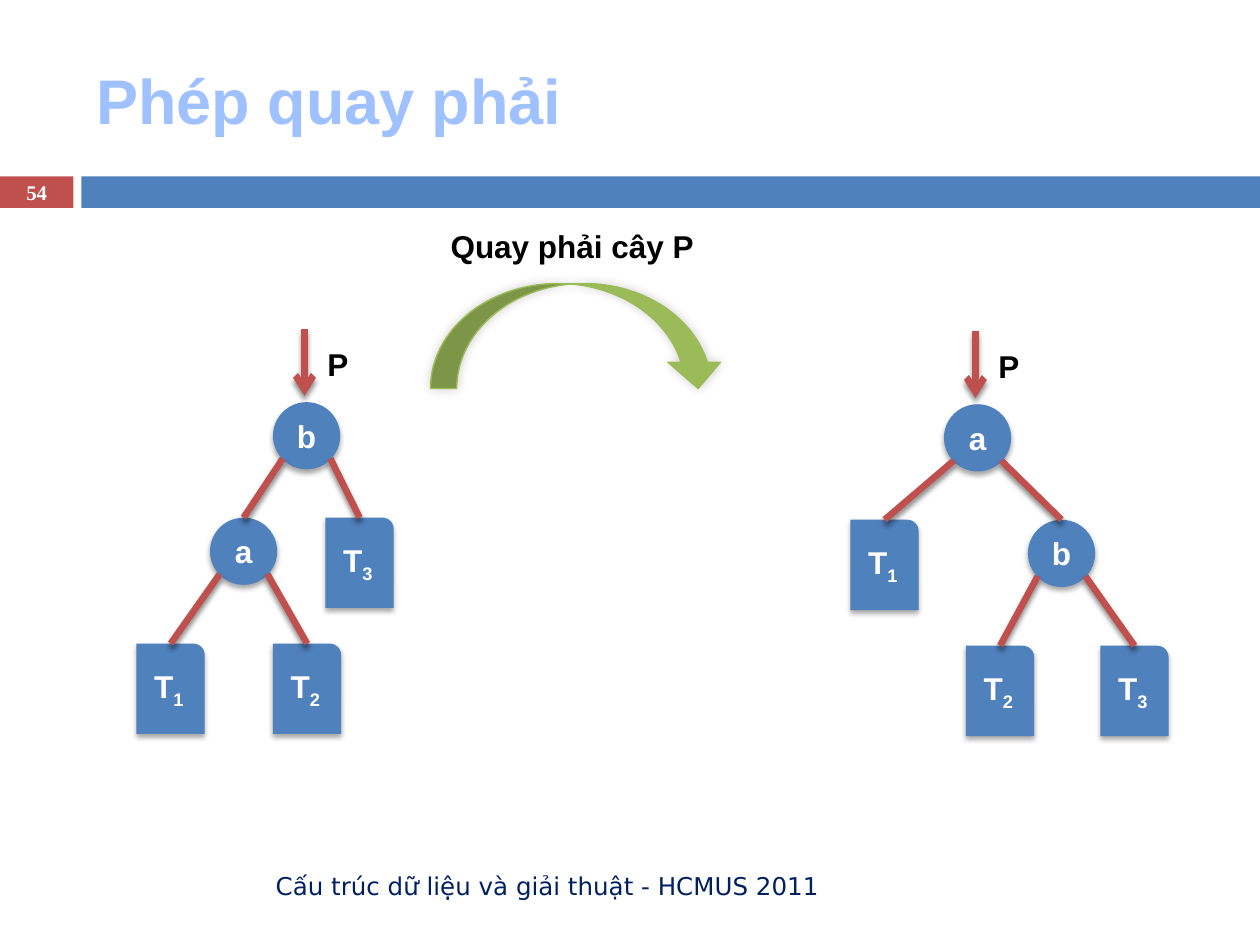
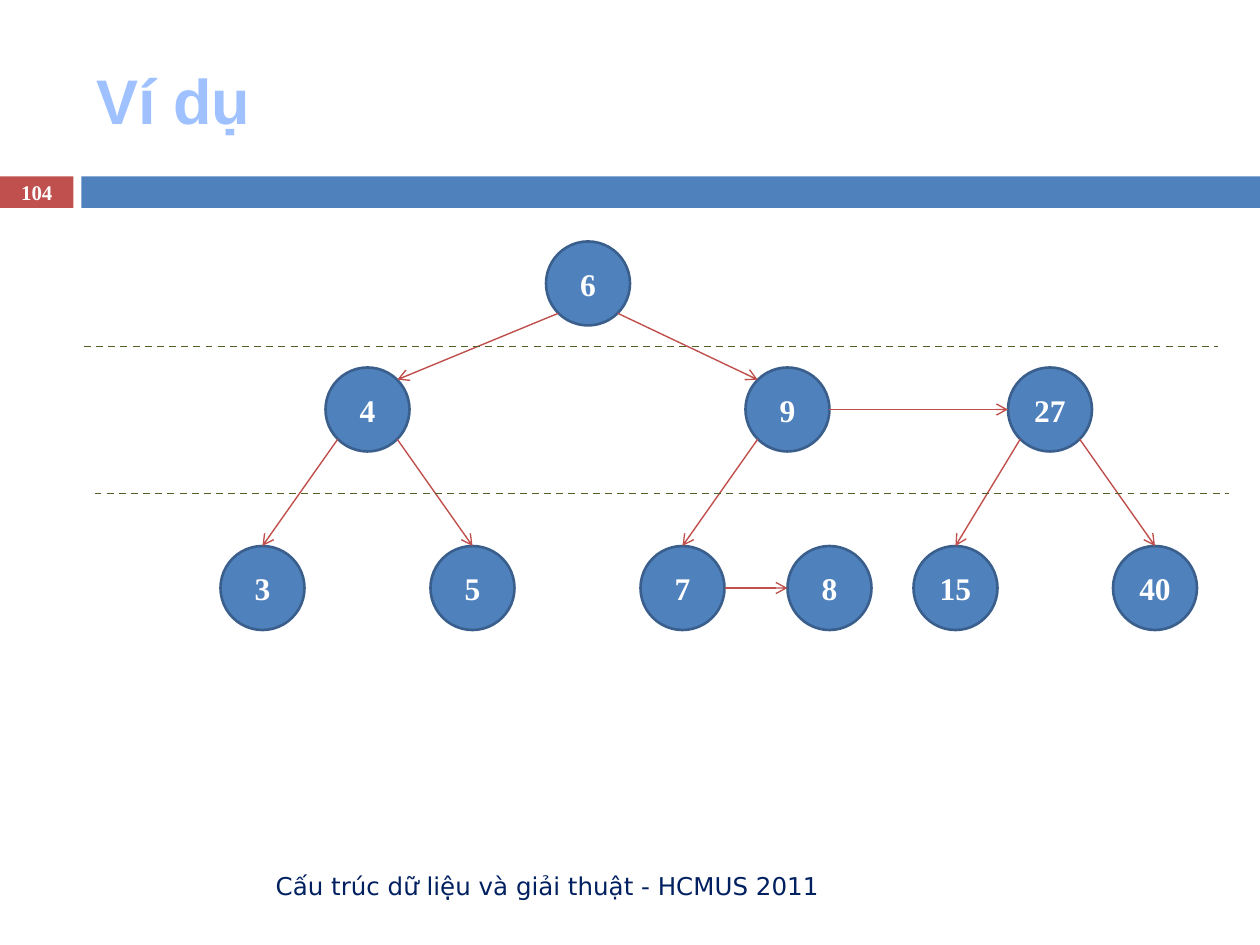
import pptx
import pptx.dml.color
import pptx.enum.dml
import pptx.enum.shapes
import pptx.enum.text
import pptx.oxml
import pptx.oxml.ns
import pptx.util

RGBColor = pptx.dml.color.RGBColor
Shape = pptx.enum.shapes.MSO_SHAPE
Align = pptx.enum.text.PP_ALIGN
Anchor = pptx.enum.text.MSO_ANCHOR

BLUE = RGBColor(0x4F, 0x81, 0xBD)
DARK_BLUE = RGBColor(0x3A, 0x5F, 0x8C)
RED = RGBColor(0xC0, 0x50, 0x4D)
GREEN = RGBColor(0x9B, 0xBB, 0x59)
DARK_GREEN = RGBColor(0x4F, 0x62, 0x28)
TITLE_BLUE = RGBColor(0xA0, 0xC1, 0xFF)
NAVY = RGBColor(0x00, 0x20, 0x60)
WHITE = RGBColor(0xFF, 0xFF, 0xFF)
BLACK = RGBColor(0x00, 0x00, 0x00)

SANS = "Arial"
SERIF = "Times New Roman"
FOOTER_FONT = "DejaVu Sans"
FOOTER = "Cấu trúc dữ liệu và giải thuật - HCMUS 2011"

COLUMNS, ROWS = 120, 90
CIRCLE = 6.4
LEAF_HEIGHT = 8.6
KEY_CIRCLE = 8
DIAGONAL = 0.71
LEVELS = (0, 11, 23)


def grid(*cells):
    return [pptx.util.Inches(cell / 12) for cell in cells]


def add_effects(item, shadow=None):
    properties = item._element.spPr
    effects = properties.find(pptx.oxml.ns.qn("a:effectLst"))
    if effects is None:
        effects = pptx.oxml.parse_xml(f'<a:effectLst {pptx.oxml.ns.nsdecls("a")}/>')
        properties.append(effects)
    if shadow:
        opacity, blur, distance, angle = shadow
        effects.append(pptx.oxml.parse_xml(
            f'<a:outerShdw {pptx.oxml.ns.nsdecls("a")} blurRad="{pptx.util.Pt(blur)}" '
            f'dist="{pptx.util.Pt(distance)}" dir="{angle * 60000}" rotWithShape="0">'
            f'<a:srgbClr val="000000"><a:alpha val="{opacity * 1000}"/></a:srgbClr>'
            '</a:outerShdw>'))


def write(box, text, size, font, color, align, anchor=Anchor.MIDDLE, subscript=""):
    box.text_frame.word_wrap = True
    box.text_frame.vertical_anchor = anchor
    para = box.text_frame.paragraphs[0]
    para.alignment = align
    para.font.size = pptx.util.Pt(size)
    para.font.name = font
    para.font.bold = font != FOOTER_FONT
    para.font.color.rgb = color
    para.add_run().text = text
    if subscript:
        span = para.add_run()
        span.text = subscript
        span._r.get_or_add_rPr().set("baseline", "-25000")


def add_text(page, area, text, size, font, color, align=Align.LEFT, anchor=Anchor.MIDDLE):
    write(page.shapes.add_textbox(*grid(*area)), text, size, font, color, align, anchor)


def add_box(page, kind, area, fill, outline=None, width=1.5, shadow=None):
    box = page.shapes.add_shape(kind, *grid(*area))
    box.shadow.inherit = False
    box.fill.solid()
    box.fill.fore_color.rgb = fill
    if outline is None:
        box.line.fill.background()
    else:
        box.line.color.rgb = outline
        box.line.width = pptx.util.Pt(width)
    add_effects(box, shadow)
    frame = box.text_frame
    frame.margin_left = frame.margin_right = frame.margin_top = frame.margin_bottom = 0
    return box


def add_line(page, start, end, color, width, arrow=False, dashed=False, shadow=None):
    line = page.shapes.add_connector(
        pptx.enum.shapes.MSO_CONNECTOR.STRAIGHT, *start, *end)
    line.line.color.rgb = color
    line.line.width = pptx.util.Pt(width)
    if dashed:
        line.line.dash_style = pptx.enum.dml.MSO_LINE.DASH
    if arrow:
        line.line._get_or_add_ln().append(pptx.oxml.parse_xml(
            f'<a:tailEnd {pptx.oxml.ns.nsdecls("a")} type="arrow"/>'))
    add_effects(line, shadow)
    return line


def rim(circle, across, down):
    radius = circle.width / 2
    return (int(circle.left + radius * (1 + across)),
            int(circle.top + radius * (1 + down)))


def add_page(deck, title, number):
    page = deck.slides.add_slide(deck.slide_layouts[6])
    badge = add_box(page, Shape.RECTANGLE, (0, 16.8, 7, 3), RED)
    write(badge, number, 11.9, SERIF, WHITE, Align.CENTER)
    add_box(page, Shape.RECTANGLE, (7.75, 16.8, COLUMNS - 7.75, 3), BLUE)
    add_text(page, (8, 3, 107, 13), title, 36, SANS, TITLE_BLUE)
    add_text(page, (8, 82, 71.2, 4.8), FOOTER, 14, FOOTER_FONT, NAVY, Align.RIGHT)
    return page


def add_tree(page, top, nodes, edges):
    boxes = {}
    for name, (column, level) in nodes.items():
        leaf = len(name) > 1
        kind = Shape.ROUND_1_RECTANGLE if leaf else Shape.OVAL
        size = (6.5, LEAF_HEIGHT) if leaf else (CIRCLE, CIRCLE)
        box = add_box(page, kind, (column, top + LEVELS[level], *size), BLUE,
                      shadow=(35, 3, 2, 90))
        write(box, name[0], 18, SANS, WHITE, Align.CENTER, subscript=name[1:])
        boxes[name] = box
    for parent, children in edges.items():
        for child, side in zip(children, (-1, 1)):
            start = rim(boxes[parent], side * DIAGONAL, DIAGONAL - 0.03)
            edge = add_line(page, start, start, RED, 3.75, shadow=(45, 3, 2.4, 90))
            edge.end_connect(boxes[child], 0)
    root_column = next(iter(nodes.values()))[0]
    add_line(page, grid(root_column + 3, top - 7), grid(root_column + 3, top - 0.6),
             RED, 3.75, arrow=True, shadow=(45, 3, 2.4, 90))
    add_text(page, (root_column + 4, top - 6, 5.5, 4.8), "P", 18, SANS, BLACK,
             anchor=Anchor.TOP)


def add_key(page, key, column, row):
    circle = add_box(page, Shape.OVAL, (column, row, KEY_CIRCLE, KEY_CIRCLE),
                     BLUE, DARK_BLUE)
    write(circle, key, 18, SERIF, WHITE, Align.CENTER)
    return circle


def build_rotation(deck):
    page = add_page(deck, "Phép quay phải", "54")
    add_tree(page, 38.3,
             {"b": (26, 0), "a": (20, 1), "T3": (31, 1), "T1": (13, 2), "T2": (26, 2)},
             {"b": ("a", "T3"), "a": ("T1", "T2")})
    add_tree(page, 38.5,
             {"a": (89.9, 0), "T1": (81, 1), "b": (97.9, 1), "T2": (92, 2), "T3": (104.8, 2)},
             {"a": ("T1", "b"), "b": ("T2", "T3")})
    add_box(page, Shape.CURVED_DOWN_ARROW, (41, 27, 28, 10), GREEN, GREEN, 0.79,
            shadow=(20, 6, 0, 315))
    add_text(page, (41, 21, 27, 4.8), "Quay phải cây P", 18, SANS, BLACK,
             Align.CENTER, Anchor.TOP)


def build_example(deck):
    page = add_page(deck, "Ví dụ", "104")
    levels = {23: {"6": 52},
              35: {"4": 31, "9": 71, "27": 96},
              52: {"3": 21, "5": 41, "7": 61, "8": 75, "15": 87, "40": 106}}
    keys = {key: add_key(page, key, column, row)
            for row, level in levels.items() for key, column in level.items()}
    for child, side in (("4", -1), ("9", 1)):
        add_line(page, rim(keys["6"], side * DIAGONAL, DIAGONAL),
                 rim(keys[child], -side * DIAGONAL, -DIAGONAL), RED, 0.79, arrow=True)
    for parent, child, side in (("4", "3", -1), ("4", "5", 1), ("9", "7", -1),
                                ("27", "15", -1), ("27", "40", 1)):
        start = rim(keys[parent], side * DIAGONAL, DIAGONAL)
        edge = add_line(page, start, start, RED, 0.79, arrow=True)
        edge.end_connect(keys[child], 0)
    for key, sibling in (("9", "27"), ("7", "8")):
        add_line(page, rim(keys[key], 1, 0), rim(keys[sibling], -1, 0),
                 RED, 0.79, arrow=True)
    for column, row in ((9, 47), (8, 33)):
        add_line(page, grid(column, row), grid(column + 108, row), DARK_GREEN, 1,
                 dashed=True)


def main():
    deck = pptx.Presentation()
    deck.slide_width, deck.slide_height = grid(COLUMNS, ROWS)
    build_rotation(deck)
    build_example(deck)
    deck.save("out.pptx")


if __name__ == "__main__":
    main()
